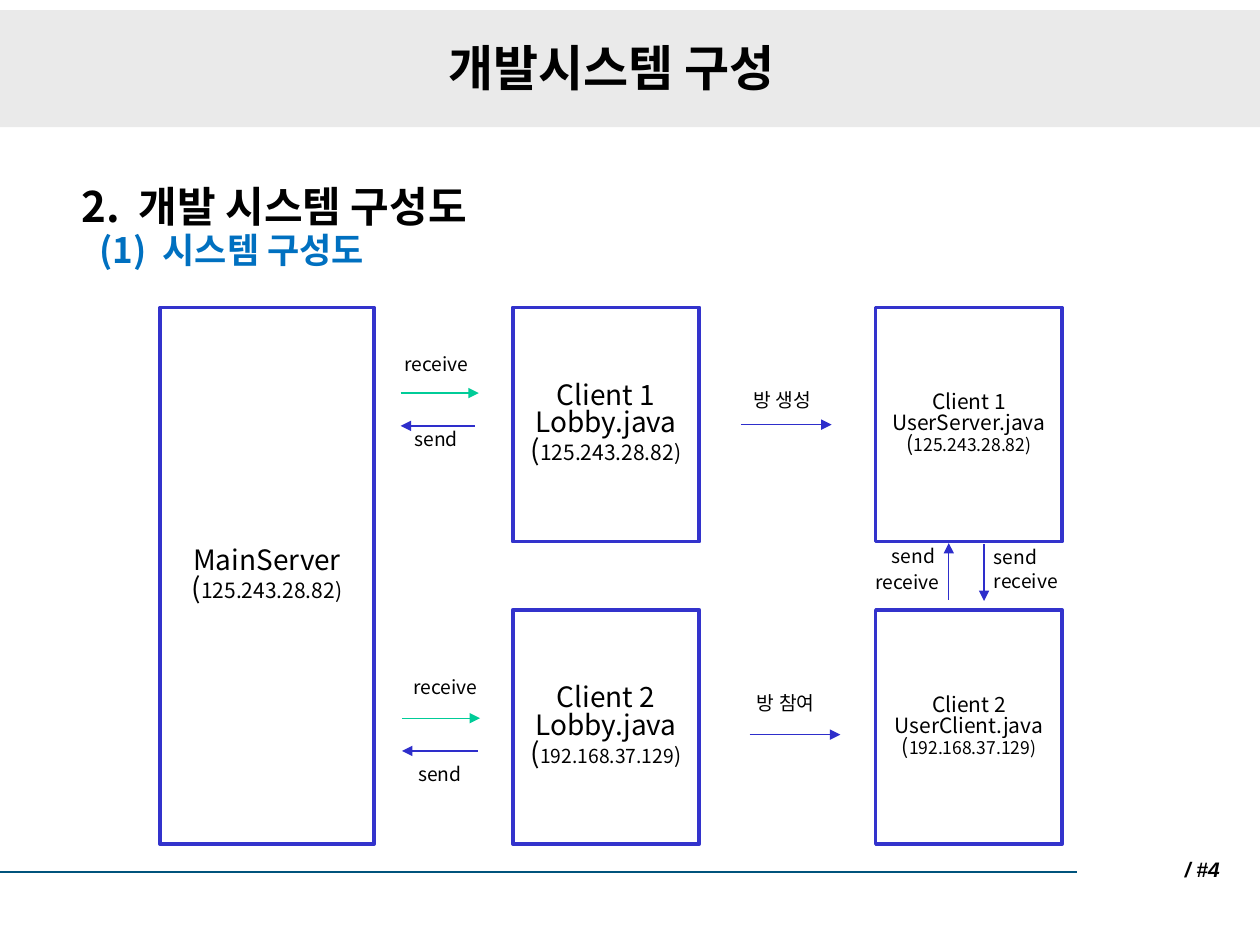
"""Build the system diagram slide: servers, clients and their message arrows."""
from lxml import etree
from pptx import Presentation
from pptx.dml.color import RGBColor
from pptx.enum.shapes import MSO_CONNECTOR, MSO_SHAPE
from pptx.enum.text import MSO_ANCHOR, MSO_AUTO_SIZE, PP_ALIGN
from pptx.oxml.ns import qn
from pptx.util import Inches, Pt

RECT, LINE = MSO_SHAPE.RECTANGLE, MSO_CONNECTOR.STRAIGHT
TOP, MIDDLE = MSO_ANCHOR.TOP, MSO_ANCHOR.MIDDLE
LEFT, CENTER, RIGHT = PP_ALIGN.LEFT, PP_ALIGN.CENTER, PP_ALIGN.RIGHT
FACE, LATIN = "Noto Sans CJK KR", "Arial"
TIGHT = 0.83
HUES = {"ink": "000000", "paper": "FFFFFF", "band": "EAEAEA", "rule": "00537C",
        "head": "0070C0", "edge": "3333CC", "send": "2E2ECB", "get": "00CC98"}

TITLE = "개발시스템 구성"
HEADS = [("2.\t개발 시스템 구성도", 24, "ink", 0.45, -0.45),
         ("(1)\t시스템 구성도", 20, "head", 0.64, -0.5)]
PAGE = "/ #4"

COLS = [(1.27, 1.7), (4.07, 1.48), (6.95, 1.48)]
ROWS, HIGH, STEP = [2.44, 4.84], 1.86, 2.4
NODES = [
    (0, 0, 2, 16, ["MainServer"], [("125.243.28.82)", 12)]),
    (1, 0, 1, 16, ["Client 1", "Lobby.java"], [("125.243.28.82)", 12)]),
    (1, 1, 1, 16, ["Client 2", "Lobby.java"], [("192.168.37.129", 11), (")", 12)]),
    (2, 0, 1, 12, ["Client 1", "UserServer.java"], [("125.243.28.82)", 10)]),
    (2, 1, 1, 12, ["Client 2", "UserClient.java"], [("192.168.37.129)", 10)]),
]
ARROWS = [
    (3.18, 3.12, 3.8, 3.12, "get"), (3.77, 3.38, 3.18, 3.38, "send"),
    (3.19, 5.7, 3.81, 5.7, "get"), (3.79, 5.96, 3.19, 5.96, "send"),
    (5.88, 3.37, 6.6, 3.37, "send"), (5.95, 5.83, 6.67, 5.83, "send"),
    (7.53, 4.76, 7.53, 4.31, "send"), (7.81, 4.32, 7.81, 4.77, "send"),
]
LABELS = [
    ("send", 3.19, 3.37, 1.48), ("send", 3.22, 6.03, 1.48),
    ("receive", 3.18, 5.34, 1.48), ("receive", 3.11, 2.78, 1.48),
    ("방 생성", 5.88, 3.06, 1.34), ("방 참여", 5.91, 5.47, 1.34),
    ("send", 7.79, 4.31, 1.34), ("send", 6.98, 4.3, 1.34),
    ("receive", 7.79, 4.5, 1.48), ("receive", 6.85, 4.51, 1.48),
]


def hue(name):
    return RGBColor.from_string(HUES[name])


def style(para, size, align=LEFT, color="ink", bold=False, face=FACE):
    para.alignment, para.line_spacing = align, TIGHT
    para.space_before = Pt(0)
    font = para.font
    font.size, font.bold = Pt(size), bold
    font.color.rgb = hue(color)
    font.name = face
    etree.SubElement(font._rPr, qn("a:ea"), typeface=face)


def place(shape, x, y, w, h):
    shape.left, shape.top = Inches(x), Inches(y)
    shape.width, shape.height = Inches(w), Inches(h)


def frame(shape, anchor=TOP):
    text = shape.text_frame
    text.word_wrap, text.auto_size = True, MSO_AUTO_SIZE.NONE
    text.vertical_anchor = anchor
    return text


def paras(text, count):
    return [text.paragraphs[0]] + [text.add_paragraph() for _ in range(count - 1)]


def rect(slide, x, y, w, h, fill, edge=None):
    shape = slide.shapes.add_shape(RECT, *map(Inches, (x, y, w, h)))
    shape.shadow.inherit = False
    shape.fill.solid()
    shape.fill.fore_color.rgb = hue(fill)
    if edge:
        shape.line.color.rgb, shape.line.width = hue(edge), Pt(2)
    else:
        shape.line.fill.background()
    return shape


def link(slide, x1, y1, x2, y2, color, width=0.75, tip=True):
    line = slide.shapes.add_connector(LINE, *map(Inches, (x1, y1, x2, y2)))
    line.line.color.rgb, line.line.width = hue(color), Pt(width)
    if tip:
        etree.SubElement(line.line._get_or_add_ln(), qn("a:tailEnd"), type="triangle")
    etree.SubElement(line._element.spPr, qn("a:effectLst"))


def label(slide, words, x, y, w, h):
    box = slide.shapes.add_textbox(*map(Inches, (x, y, w, h)))
    para = frame(box).paragraphs[0]
    para.text = words
    return box, para


def node(slide, col, row, span, size, names, addr):
    x, w = COLS[col]
    box = rect(slide, x, ROWS[row], w, HIGH + (span - 1) * STEP, "paper", "edge")
    lines = paras(frame(box, MIDDLE), len(names) + 1)
    for para, name in zip(lines, names):
        para.text = name
    lines[-1].add_run().text = "("
    for words, small in addr:
        run = lines[-1].add_run()
        run.text, run.font.size = words, Pt(small)
    for para in lines:
        style(para, size, CENTER)


def heads(slide):
    title, body = slide.shapes.title, slide.placeholders[1]
    place(title, 1.57, 0.33, 6.57, 0.57)
    para = frame(title).paragraphs[0]
    para.text = TITLE
    style(para, 28, CENTER, bold=True)
    place(body, 0.55, 1.45, 8.57, 4.04)
    lines = paras(frame(body), len(HEADS))
    for para, (words, size, color, left, first) in zip(lines, HEADS):
        para.text = words
        props = para._p.get_or_add_pPr()
        props.set("marL", str(Inches(left)))
        props.set("indent", str(Inches(first)))
        etree.SubElement(props, qn("a:buNone"))
        style(para, size, color=color, bold=True)
    lines[1].space_before = Pt(3)


def main():
    deck = Presentation()
    deck.slide_width, deck.slide_height = Inches(10), Inches(7.5)
    slide = deck.slides.add_slide(deck.slide_layouts[1])
    band = rect(slide, 0, 0.08, 10, 0.93, "band")
    slide.shapes._spTree.insert(2, band._element)
    heads(slide)
    link(slide, 0, 6.92, 8.55, 6.92, "rule", 1.5, False)
    box, para = label(slide, PAGE, 8.53, 6.69, 1.25, 0.42)
    box.text_frame.vertical_anchor = MIDDLE
    style(para, 12, RIGHT, bold=True, face=LATIN)
    para.line_spacing, para.font.italic = 1.0, True
    for item in NODES:
        node(slide, *item)
    for item in ARROWS:
        link(slide, *item)
    for item in LABELS:
        style(label(slide, *item, 0.29)[1], 11)
    deck.save("out.pptx")


if __name__ == "__main__":
    main()
